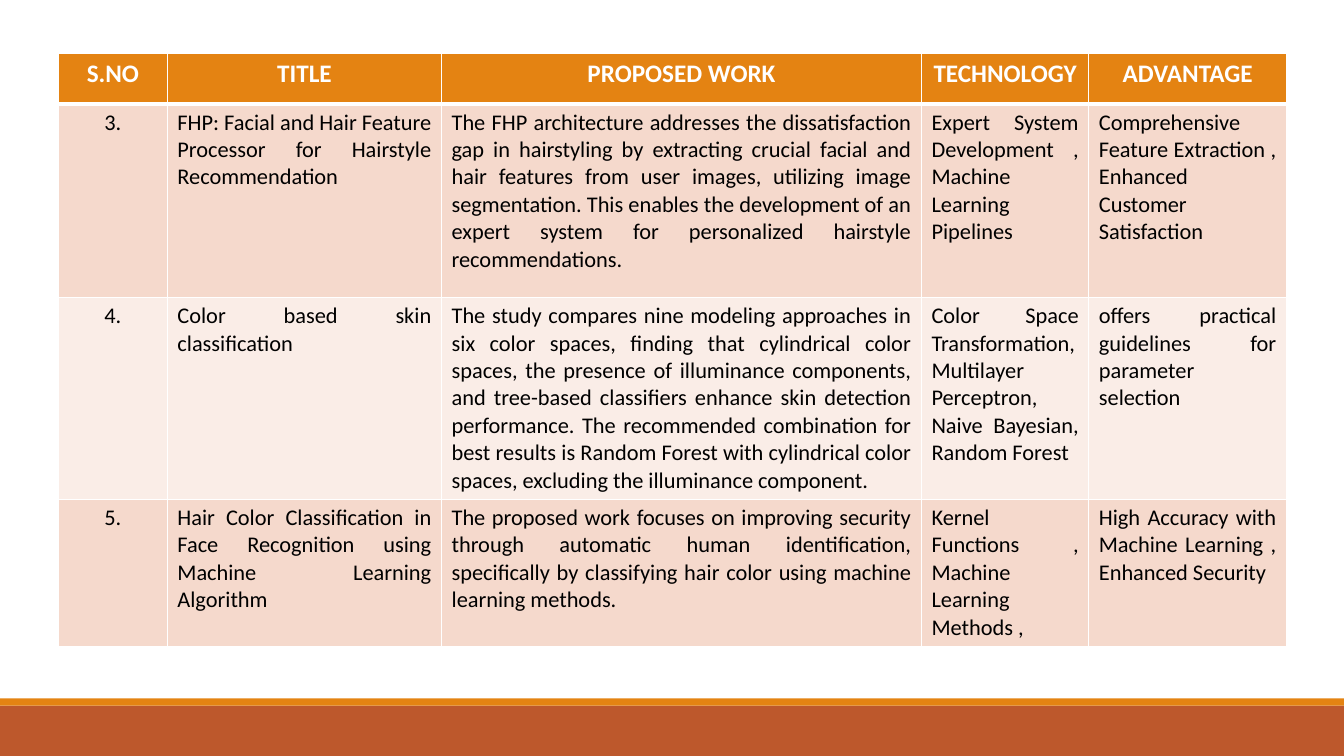
from lxml.etree import SubElement
from pptx import Presentation
from pptx.dml.color import RGBColor
from pptx.enum.shapes import MSO_SHAPE as Shape
from pptx.enum.text import PP_ALIGN as Align
from pptx.oxml.ns import qn
from pptx.util import Inches, Pt

# Content
COLORS = {"orange": "E48312", "rust": "BD582C", "band_dark": "F5D9CC",
          "band_light": "FAEDE7", "white": "FFFFFF", "black": "000000"}
FONT = "Calibri"
HEADERS = ["S.NO", "TITLE", "PROPOSED WORK", "TECHNOLOGY", "ADVANTAGE"]
PAPERS = [
    ("3.",
     "FHP: Facial and Hair Feature Processor for Hairstyle Recommendation",
     "The FHP architecture addresses the dissatisfaction gap in hairstyling by "
     "extracting crucial facial and hair features from user images, utilizing "
     "image segmentation. This enables the development of an expert system for "
     "personalized hairstyle recommendations.",
     "Expert System Development , Machine Learning Pipelines",
     "Comprehensive Feature Extraction , Enhanced Customer Satisfaction"),
    ("4.",
     "Color based skin classification",
     "The study compares nine modeling approaches in six color spaces, finding "
     "that cylindrical color spaces, the presence of illuminance components, and "
     "tree-based classifiers enhance skin detection performance. The recommended "
     "combination for best results is Random Forest with cylindrical color "
     "spaces, excluding the illuminance component.",
     "Color Space Transformation,\n"
     "Multilayer Perceptron, Naive Bayesian, Random Forest",
     "offers practical guidelines for parameter selection"),
    ("5.",
     "Hair Color Classification in Face Recognition using Machine Learning Algorithm",
     "The proposed work focuses on improving security through automatic human "
     "identification, specifically by classifying hair color using machine "
     "learning methods.",
     "Kernel Functions , Machine Learning Methods ,",
     "High Accuracy with Machine Learning , Enhanced Security"),
]
TABLE_LEFT, TABLE_TOP = 0.58, 0.53
COLUMN_WIDTHS = [1.08, 2.72, 4.76, 1.66, 1.96]
ROW_HEIGHTS = [0.5, 1.92, 2.0, 1.46]
FOOTER_BANDS = [("rust", 7.0, 0.5), ("orange", 6.93, 0.07)]  # color, top, height


def rgb(name):
    return RGBColor.from_string(COLORS[name])


def set_borders(cell, top, bottom):
    """Draw white borders, with widths in points."""
    properties = cell._tc.get_or_add_tcPr()
    for side, width in (("L", 1), ("R", 1), ("T", top), ("B", bottom)):
        line = SubElement(properties, qn(f"a:ln{side}"), w=str(Pt(width)))
        fill = SubElement(line, qn("a:solidFill"))
        SubElement(fill, qn("a:srgbClr"), val=COLORS["white"])


def write_cell(cell, text, align, size, color, bold):
    for index, line in enumerate(text.split("\n")):
        frame = cell.text_frame
        paragraph = frame.add_paragraph() if index else frame.paragraphs[0]
        paragraph.alignment = align
        run = paragraph.add_run()
        run.text = line
        run.font.name = FONT
        run.font.size = Pt(size)
        run.font.bold = bold
        run.font.color.rgb = rgb(color)


presentation = Presentation()
presentation.slide_width, presentation.slide_height = Inches(13.33), Inches(7.5)
slide = presentation.slides.add_slide(presentation.slide_layouts[6])

# Footer bands
for color, top, height in FOOTER_BANDS:
    band = slide.shapes.add_shape(Shape.RECTANGLE, 0, Inches(top),
                                  presentation.slide_width, Inches(height))
    band.shadow.inherit = False
    band.fill.solid()
    band.fill.fore_color.rgb = rgb(color)
    band.line.fill.background()

# Literature table
table = slide.shapes.add_table(
    len(ROW_HEIGHTS), len(COLUMN_WIDTHS), Inches(TABLE_LEFT), Inches(TABLE_TOP),
    Inches(sum(COLUMN_WIDTHS)), Inches(sum(ROW_HEIGHTS))).table
for column, width in zip(table.columns, COLUMN_WIDTHS):
    column.width = Inches(width)
for row, height in zip(table.rows, ROW_HEIGHTS):
    row.height = Inches(height)

for row_index, texts in enumerate([HEADERS, *PAPERS]):
    is_header = row_index == 0
    if is_header:
        fill_color = "orange"
    else:
        fill_color = "band_dark" if row_index % 2 else "band_light"
    for column_index, text in enumerate(texts):
        cell = table.cell(row_index, column_index)
        set_borders(cell, top=3 if row_index == 1 else 1, bottom=3 if is_header else 1)
        cell.fill.solid()
        cell.fill.fore_color.rgb = rgb(fill_color)
        centered = is_header or column_index == 0
        write_cell(cell, text, Align.CENTER if centered else Align.JUSTIFY,
                   size=18 if is_header else 16,
                   color="white" if is_header else "black", bold=is_header)

presentation.save("out.pptx")
